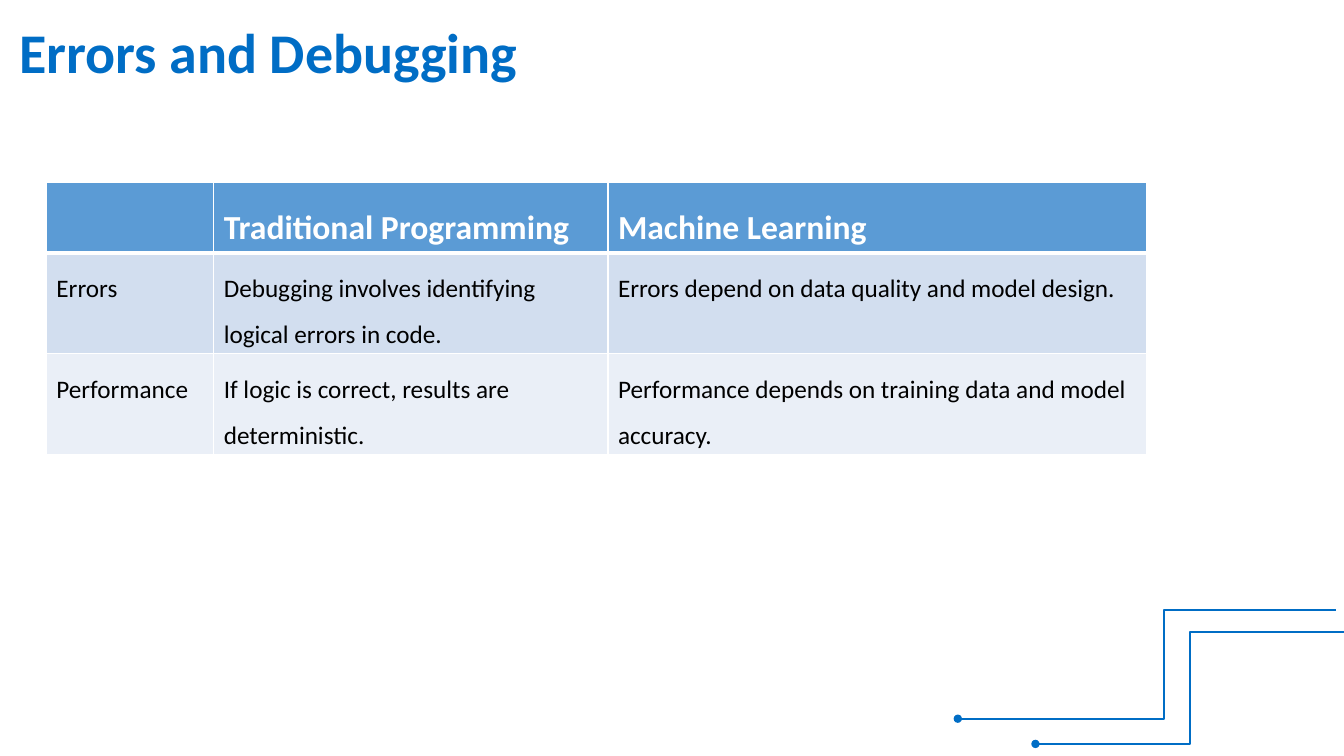
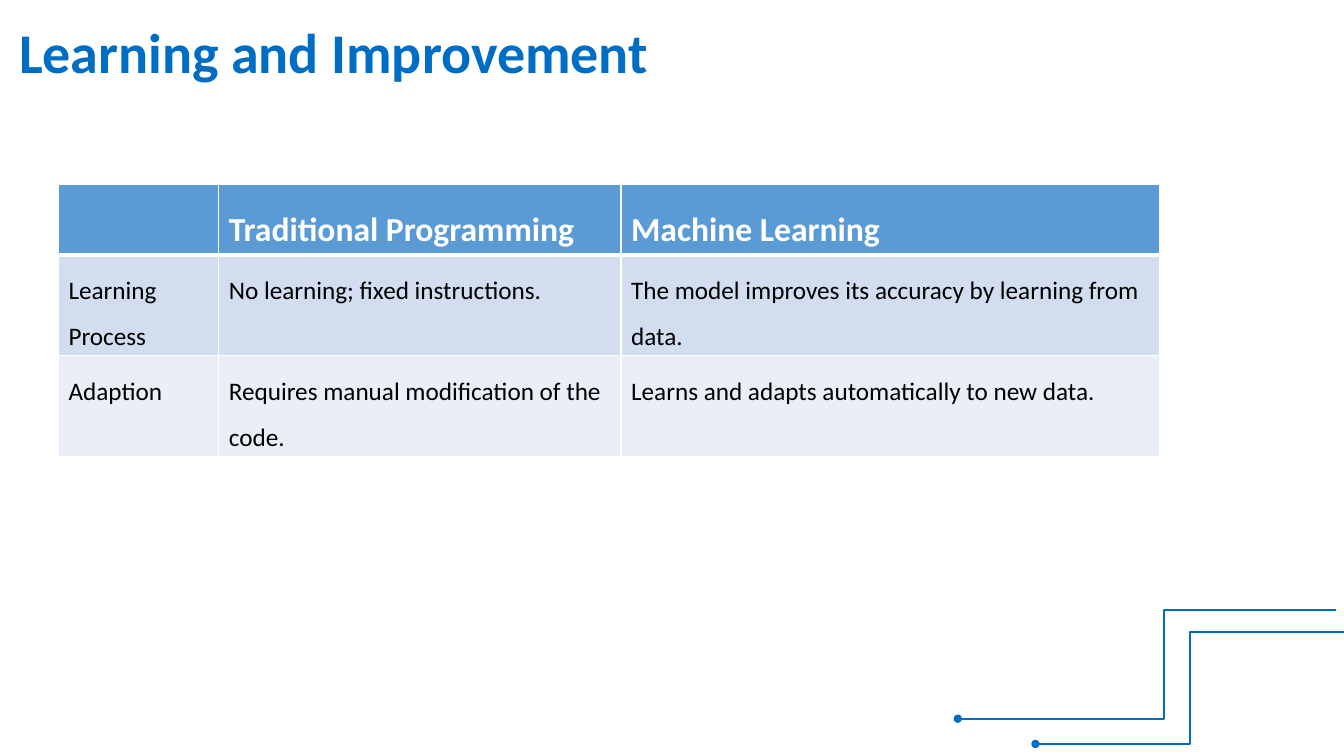
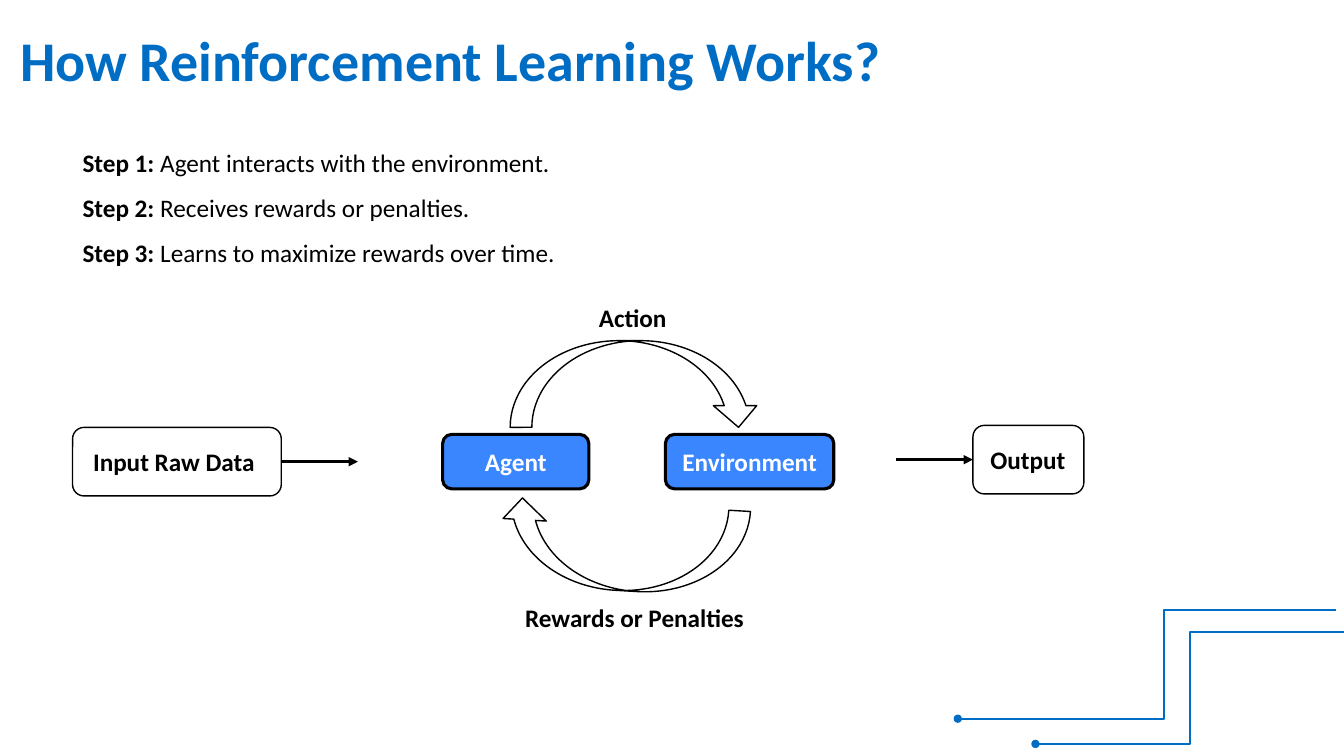
from dataclasses import dataclass

from lxml.etree import SubElement
from pptx import Presentation
from pptx.dml.color import RGBColor as Rgb
from pptx.enum.shapes import MSO_CONNECTOR as Link, MSO_SHAPE as Preset
from pptx.enum.text import MSO_ANCHOR as Anchor, MSO_AUTO_SIZE as AutoSize, PP_ALIGN as Align
from pptx.oxml.ns import qn
from pptx.util import Inches, Pt


@dataclass(frozen=True)
class Theme:
    font: str = "Calibri"
    blue: str = "006DC5"
    node: str = "3A86FF"
    header: str = "5B9BD5"
    bands: tuple[str, str] = ("D2DEEF", "EAEFF7")
    black: str = "000000"
    white: str = "FFFFFF"
    title_size: float = 40
    header_size: float = 24
    body_size: float = 18
    spacing: float = 1.5
    thin: float = 1
    circuit: float = 1.5
    thick: float = 2.25
    rule: float = 3


THEME = Theme()


@dataclass(frozen=True)
class Box:
    left: float
    top: float
    width: float
    height: float

    def lengths(self) -> tuple:
        return tuple(Inches(v) for v in (self.left, self.top, self.width, self.height))


@dataclass(frozen=True)
class Comparison:
    title: str
    left: float
    top: float
    columns: tuple[float, ...]
    rows: tuple[tuple[str, str, str], ...]


@dataclass(frozen=True)
class Stage:
    """A labelled box; filled when it takes part in the learning loop."""
    label: str
    box: Box
    inset: float = 0.1
    filled: bool = False


@dataclass(frozen=True)
class Trace:
    """A bent circuit line ending in a dot."""
    start: tuple[float, float]
    end: tuple[float, float]
    bend: float


TITLE_BOX = Box(0.09, 0.12, 10.92, 0.77)
HEADINGS = ("", "Traditional Programming", "Machine Learning")
ROW_HEIGHTS = (0.69, 0.99, 0.99)
TRACES = (
    Trace((13.25, 6.05), (9.5, 7.13), 0.455),
    Trace((13.33, 6.27), (10.27, 7.38), 0.5),
)
COMPARISONS = (
    Comparison("Errors and Debugging", 0.46, 1.81, (1.66, 3.91, 5.34), (
        ("Errors", "Debugging involves identifying logical errors in code.",
         "Errors depend on data quality and model design."),
        ("Performance", "If logic is correct, results are deterministic.",
         "Performance depends on training data and model accuracy."),
    )),
    Comparison("Learning and Improvement", 0.58, 1.83, (1.59, 3.99, 5.34), (
        ("Learning Process", "No learning; fixed instructions.",
         "The model improves its accuracy by learning from data."),
        ("Adaption", "Requires manual modification of the code.",
         "Learns and adapts automatically to new data."),
    )),
)
STEPS = (
    "Agent interacts with the environment.",
    "Receives rewards or penalties.",
    "Learns to maximize rewards over time.",
)
INPUT = Stage("Input Raw Data", Box(0.72, 4.24, 2.07, 0.68), inset=0.17)
OUTPUT = Stage("Output", Box(9.65, 4.22, 1.1, 0.68), inset=0.14)
LOOP = (
    Stage("Agent", Box(4.39, 4.31, 1.45, 0.54), filled=True),
    Stage("Environment", Box(6.6, 4.31, 1.67, 0.54), filled=True),
)
LOOP_ARROWS = ((Box(5.06, 3.38, 2.48, 0.86), 0), (Box(4.94, 5, 2.48, 0.86), 183.4))
LOOP_LABELS = (
    ("Action", Box(5.84, 2.95, 0.88, 0.4)),
    ("Rewards or Penalties", Box(5.11, 5.93, 2.58, 0.4)),
)
FLOW_LENGTH = 0.76


# Text
def style(paragraph, size: float, color: str, bold: bool | None = None) -> None:
    font = paragraph.font
    font.name, font.size, font.bold = THEME.font, Pt(size), bold
    font.color.rgb = Rgb.from_string(color)


def add_text_frame(slide, box: Box):
    frame = slide.shapes.add_textbox(*box.lengths()).text_frame
    frame.word_wrap = True
    frame.auto_size = AutoSize.SHAPE_TO_FIT_TEXT
    return frame


def add_label(slide, text: str, box: Box, size: float, color: str) -> None:
    paragraph = add_text_frame(slide, box).paragraphs[0]
    paragraph.text = text
    style(paragraph, size, color, True)


# Lines and shapes
def add_line(slide, kind, start: tuple, end: tuple, color: str, width: float, head: str):
    points = (Inches(v) for v in (*start, *end))
    connector = slide.shapes.add_connector(kind, *points)
    connector.line.color.rgb = Rgb.from_string(color)
    connector.line.width = Pt(width)
    SubElement(connector.line._get_or_add_ln(), qn("a:tailEnd"), type=head)
    SubElement(connector._element.spPr, qn("a:effectLst"))
    return connector


def add_outlined(slide, preset, box: Box, width: float, fill: str | None = None):
    shape = slide.shapes.add_shape(preset, *box.lengths())
    shape.shadow.inherit = False
    shape.line.color.rgb = Rgb.from_string(THEME.black)
    shape.line.width = Pt(width)
    if fill:
        shape.fill.solid()
        shape.fill.fore_color.rgb = Rgb.from_string(fill)
    else:
        shape.fill.background()
    return shape


def add_stage(slide, stage: Stage):
    width, fill, color, align = (
        (THEME.thick, THEME.node, THEME.white, Align.CENTER) if stage.filled
        else (THEME.thin, None, THEME.black, Align.LEFT))
    shape = add_outlined(slide, Preset.ROUNDED_RECTANGLE, stage.box, width, fill)
    frame = shape.text_frame
    frame.word_wrap = True
    frame.vertical_anchor = Anchor.MIDDLE
    frame.margin_left = Inches(stage.inset)
    paragraph = frame.paragraphs[0]
    paragraph.text = stage.label
    paragraph.alignment = align
    style(paragraph, THEME.body_size, color, True)
    return shape


# Shared slide frame: title and circuit lines
def add_slide(deck, title: str, title_box: Box = TITLE_BOX):
    slide = deck.slides.add_slide(deck.slide_layouts[6])
    add_label(slide, title, title_box, THEME.title_size, THEME.blue)
    for trace in TRACES:
        connector = add_line(slide, Link.ELBOW, trace.start, trace.end,
                             THEME.blue, THEME.circuit, "oval")
        adjustments = connector._element.spPr.find(qn("a:prstGeom")).get_or_add_avLst()
        SubElement(adjustments, qn("a:gd"), name="adj1", fmla=f"val {trace.bend * 100000:.0f}")
    return slide


# Comparison tables
def set_borders(cell, top: float, bottom: float) -> None:
    properties = cell._tc.get_or_add_tcPr()
    widths = {"lnL": THEME.thin, "lnR": THEME.thin, "lnT": top, "lnB": bottom}
    for side, width in widths.items():
        line = SubElement(properties, qn(f"a:{side}"), w=str(Pt(width)))
        fill = SubElement(line, qn("a:solidFill"))
        SubElement(fill, qn("a:srgbClr"), val=THEME.white)


def add_comparison(deck, comparison: Comparison) -> None:
    slide = add_slide(deck, comparison.title)
    rows = (HEADINGS, *comparison.rows)
    box = Box(comparison.left, comparison.top, sum(comparison.columns), sum(ROW_HEIGHTS))
    table = slide.shapes.add_table(len(rows), len(HEADINGS), *box.lengths()).table
    table.horz_banding = False
    for column, width in zip(table.columns, comparison.columns):
        column.width = Inches(width)
    for index, texts in enumerate(rows):
        table.rows[index].height = Inches(ROW_HEIGHTS[index])
        is_header = index == 0
        fill = THEME.header if is_header else THEME.bands[(index - 1) % 2]
        size, color = ((THEME.header_size, THEME.white) if is_header
                       else (THEME.body_size, THEME.black))
        for cell, text in zip(table.rows[index].cells, texts):
            set_borders(cell, THEME.rule if index == 1 else THEME.thin,
                        THEME.rule if is_header else THEME.thin)
            cell.fill.solid()
            cell.fill.fore_color.rgb = Rgb.from_string(fill)
            if text:
                paragraph = cell.text_frame.paragraphs[0]
                paragraph.text = text
                paragraph.line_spacing = THEME.spacing
                style(paragraph, size, color, is_header)


# Reinforcement learning diagram
def add_steps(slide) -> None:
    frame = add_text_frame(slide, Box(0.72, 1.26, 7.19, 1.42))
    for number, step in enumerate(STEPS, 1):
        paragraph = frame.paragraphs[0] if number == 1 else frame.add_paragraph()
        paragraph.line_spacing = THEME.spacing
        style(paragraph, THEME.body_size, THEME.black)
        for text, bold in ((f"Step {number}: ", True), (step, False)):
            run = paragraph.add_run()
            run.text = text
            run.font.bold = bold


def add_flow(slide, left: float, stage: Stage):
    middle = stage.box.top + stage.box.height / 2
    return add_line(slide, Link.STRAIGHT, (left, middle), (left + FLOW_LENGTH, middle),
                    THEME.black, THEME.thick, "triangle")


def add_reinforcement(deck) -> None:
    slide = add_slide(deck, "How Reinforcement Learning Works?", Box(0.1, 0.2, 10.92, 0.77))
    add_steps(slide)

    raw_data = add_stage(slide, INPUT)
    add_flow(slide, INPUT.box.left + INPUT.box.width, INPUT).begin_connect(raw_data, 3)

    for stage in LOOP:
        add_stage(slide, stage)
    for box, rotation in LOOP_ARROWS:
        add_outlined(slide, Preset.CURVED_DOWN_ARROW, box, THEME.thin).rotation = rotation
    for text, box in LOOP_LABELS:
        add_label(slide, text, box, THEME.body_size, THEME.black)

    result = add_stage(slide, OUTPUT)
    add_flow(slide, OUTPUT.box.left - FLOW_LENGTH, OUTPUT).end_connect(result, 1)


def main() -> None:
    deck = Presentation()
    deck.slide_width, deck.slide_height = Inches(13.33), Inches(7.5)
    for comparison in COMPARISONS:
        add_comparison(deck, comparison)
    add_reinforcement(deck)
    deck.save("out.pptx")


if __name__ == "__main__":
    main()
